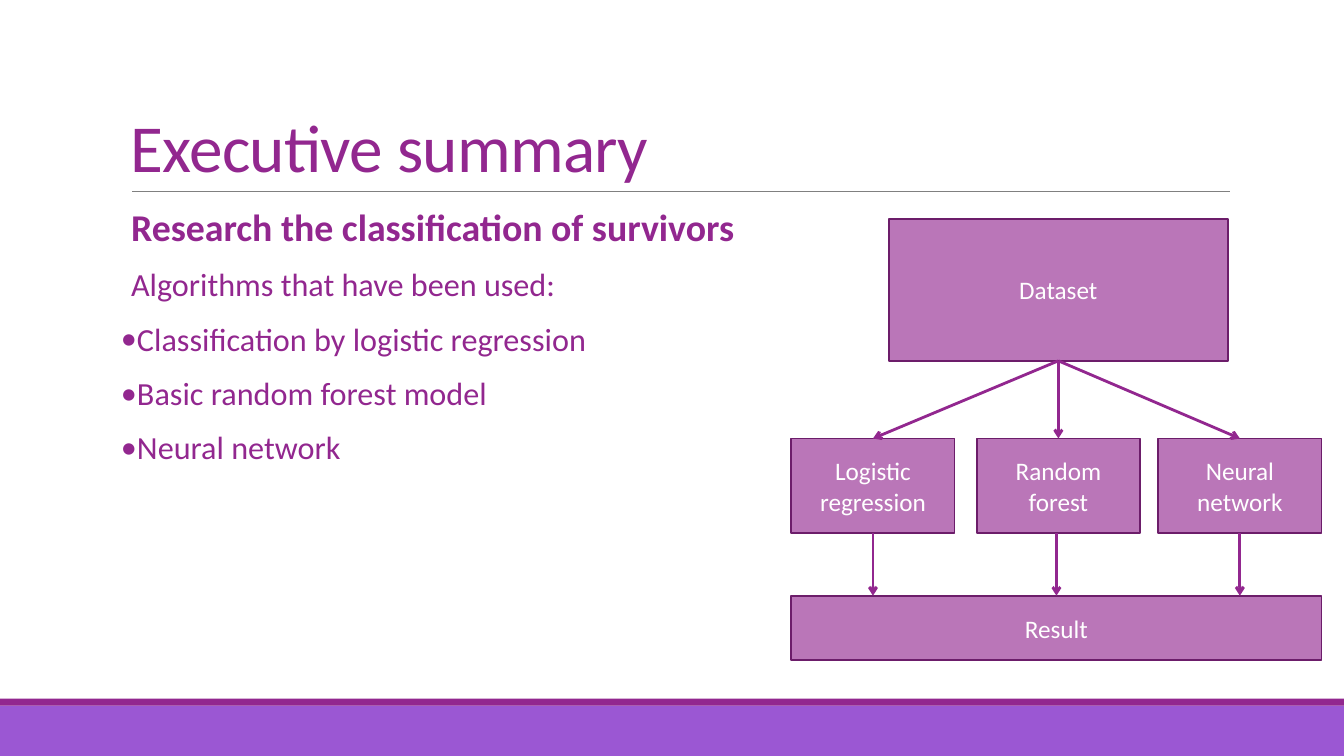
import pptx
import pptx.util
import pptx.dml.color
import pptx.enum.shapes
import pptx.enum.text
import pptx.oxml
import pptx.oxml.ns

FONT = "Calibri"
COLORS = {
    "purple": "92278F",
    "violet": "9B57D3",
    "edge": "6C1D6A",
    "rule": "808080",
    "white": "FFFFFF",
}
WIDTH, HEIGHT = pptx.util.Inches(13.333), pptx.util.Inches(7.5)
RECT = pptx.enum.shapes.MSO_SHAPE.RECTANGLE
ANCHOR = pptx.enum.text.MSO_ANCHOR
MODELS = ["Logistic regression", "Random forest", "Neural network"]


def px(share):
    """Length for a percentage of the slide's width."""
    return round(WIDTH * share / 100)


def py(share):
    """Length for a percentage of the slide's height."""
    return round(HEIGHT * share / 100)


def place(box):
    x, y, w, h = box
    return px(x), py(y), px(w), py(h)


def rgb(name):
    return pptx.dml.color.RGBColor.from_string(COLORS[name])


def add_xml(parent, tag, **attributes):
    child = pptx.oxml.ns.qn(tag)
    element = parent.makeelement(child, attributes)
    parent.append(element)
    return element


def add_run(p, text, size, color, bold=False):
    r = p.add_run()
    r.text = text
    r.font.name, r.font.size, r.font.bold = FONT, pptx.util.Pt(size), bold
    r.font.color.rgb = rgb(color)
    return r


def add_rect(s, box, fill):
    sp = s.shapes.add_shape(RECT, *place(box))
    sp.shadow.inherit = False
    sp.fill.solid()
    sp.fill.fore_color.rgb = rgb(fill)
    sp.line.fill.background()
    return sp


def add_line(s, start, end, color, weight, arrow=False):
    line = s.shapes.add_connector(pptx.enum.shapes.MSO_CONNECTOR.STRAIGHT, *start, *end)
    line.line.color.rgb = rgb(color)
    line.line.width = pptx.util.Pt(weight)
    if arrow:
        add_xml(line.line._get_or_add_ln(), "a:tailEnd", type="arrow")
    add_xml(line._element.spPr, "a:effectLst")
    return line


def add_node(s, box, text):
    """Translucent outlined box with a centred label."""
    sp = add_rect(s, box, "purple")
    color = sp._element.spPr.find(".//" + pptx.oxml.ns.qn("a:srgbClr"))
    add_xml(color, "a:alpha", val="63000")
    sp.line.color.rgb = rgb("edge")
    sp.line.width = pptx.util.Pt(1.25)
    tf = sp.text_frame
    tf.word_wrap = True
    tf.vertical_anchor = ANCHOR.MIDDLE
    p = tf.paragraphs[0]
    p.alignment = pptx.enum.text.PP_ALIGN.CENTER
    add_run(p, text, 18, "white")
    return sp


def center(sp):
    return sp.left + sp.width // 2


def bottom(sp):
    return sp.top + sp.height


def add_footer(s, box):
    x, y, w, h = box
    strip = 0.93
    add_rect(s, (x, y + strip, w, h - strip), "violet")
    add_rect(s, (x, y, w, strip), "purple")


def add_title(s, box, text):
    x, y, w, h = box
    inset = 0.83
    rule_y = py(y + h)
    add_line(s, (px(x + inset), rule_y), (px(x + w), rule_y), "rule", 0.5)
    tf = s.shapes.add_textbox(*place(box)).text_frame
    tf.word_wrap = True
    tf.vertical_anchor = ANCHOR.BOTTOM
    p = tf.paragraphs[0]
    p.line_spacing = 0.85
    r = add_run(p, text, 48, "purple")
    r.font._element.set("spc", "-50")


def add_body(s, box, heading, lead, items):
    tf = s.shapes.add_textbox(*place(box)).text_frame
    tf.word_wrap = True
    tf.margin_left = tf.margin_right = 0
    indent = pptx.util.Inches(0.1)
    rows = [(heading, 27, True, False), (lead, 23, False, False)]
    rows += [(item, 23, False, True) for item in items]
    for i, (text, size, bold, bullet) in enumerate(rows):
        p = tf.add_paragraph() if i else tf.paragraphs[0]
        p.line_spacing = 0.9
        p.space_before, p.space_after = pptx.util.Pt(12), pptx.util.Pt(2)
        pPr = p._p.get_or_add_pPr()
        pPr.set("marL", str(indent))
        pPr.set("indent", str(-indent if bullet else 0))
        if bullet:
            add_xml(add_xml(pPr, "a:buClr"), "a:srgbClr", val=COLORS["purple"])
            add_xml(pPr, "a:buFont", typeface=FONT)
            add_xml(pPr, "a:buChar", char="•")
        add_run(p, text, size, "purple", bold)


def add_diagram(s, box, models):
    """Dataset feeding a row of models, which all lead to the result."""
    x, y, w, h = box
    data_x, data_w, data_h = x + 7.27, 25.2, 18.8
    model_y, model_w, model_h = y + 29.07, 12.15, 12.53
    result_h = 8.53
    dataset = add_node(s, (data_x, y, data_w, data_h), "Dataset")
    model_xs = [x, data_x + (data_w - model_w) / 2, x + w - model_w]
    nodes = [add_node(s, (mx, model_y, model_w, model_h), name)
             for mx, name in zip(model_xs, models)]
    result = add_node(s, (x, y + h - result_h, w, result_h), "Result")

    for node in nodes:
        arrow = add_line(s, (center(dataset), bottom(dataset)),
                         (center(node), node.top), "purple", 2, arrow=True)
        arrow.begin_connect(dataset, 2)
        arrow.end_connect(node, 0)

    drops = [center(nodes[0]), center(result), center(nodes[-1])]
    for node, drop in zip(nodes, drops):
        arrow = add_line(s, (drop, bottom(node)), (drop, result.top),
                         "purple", 2, arrow=True)
        if drop == center(result):
            arrow.end_connect(result, 0)
        else:
            arrow.begin_connect(node, 2)


def main():
    prs = pptx.Presentation()
    prs.slide_width, prs.slide_height = WIDTH, HEIGHT
    s = prs.slides.add_slide(prs.slide_layouts[6])
    add_footer(s, (0, 92.4, 100, 7.6))
    add_title(s, (9, 4.13, 82.5, 21.2), "Executive summary")
    add_body(s, (9, 26.93, 82.5, 58.67),
             "Research the classification of survivors",
             "Algorithms that have been used:",
             ["Classification by logistic regression",
              "Basic random forest model",
              "Neural network"])
    add_diagram(s, (58.88, 28.93, 39.45, 58.4), MODELS)
    prs.save("out.pptx")


if __name__ == "__main__":
    main()
